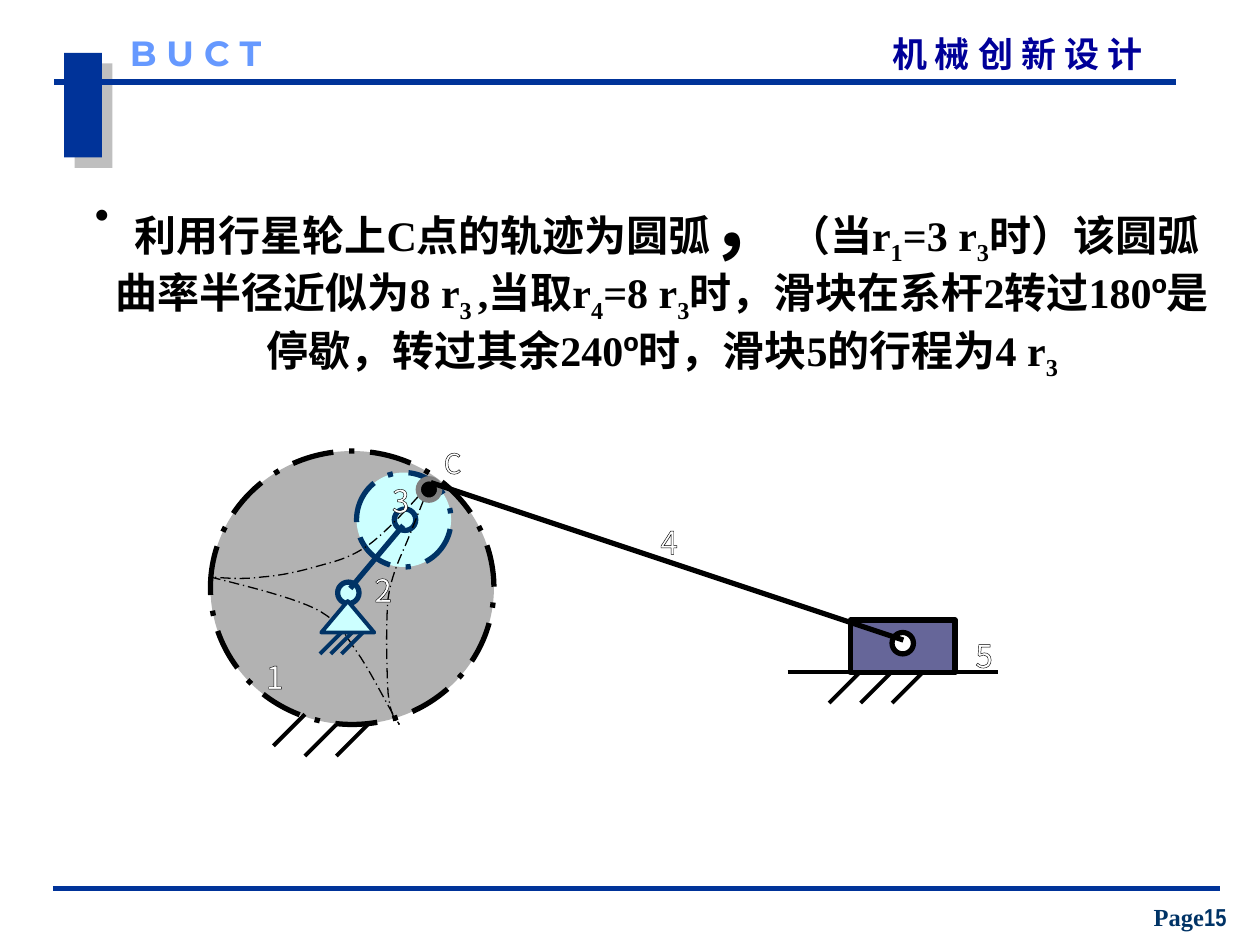
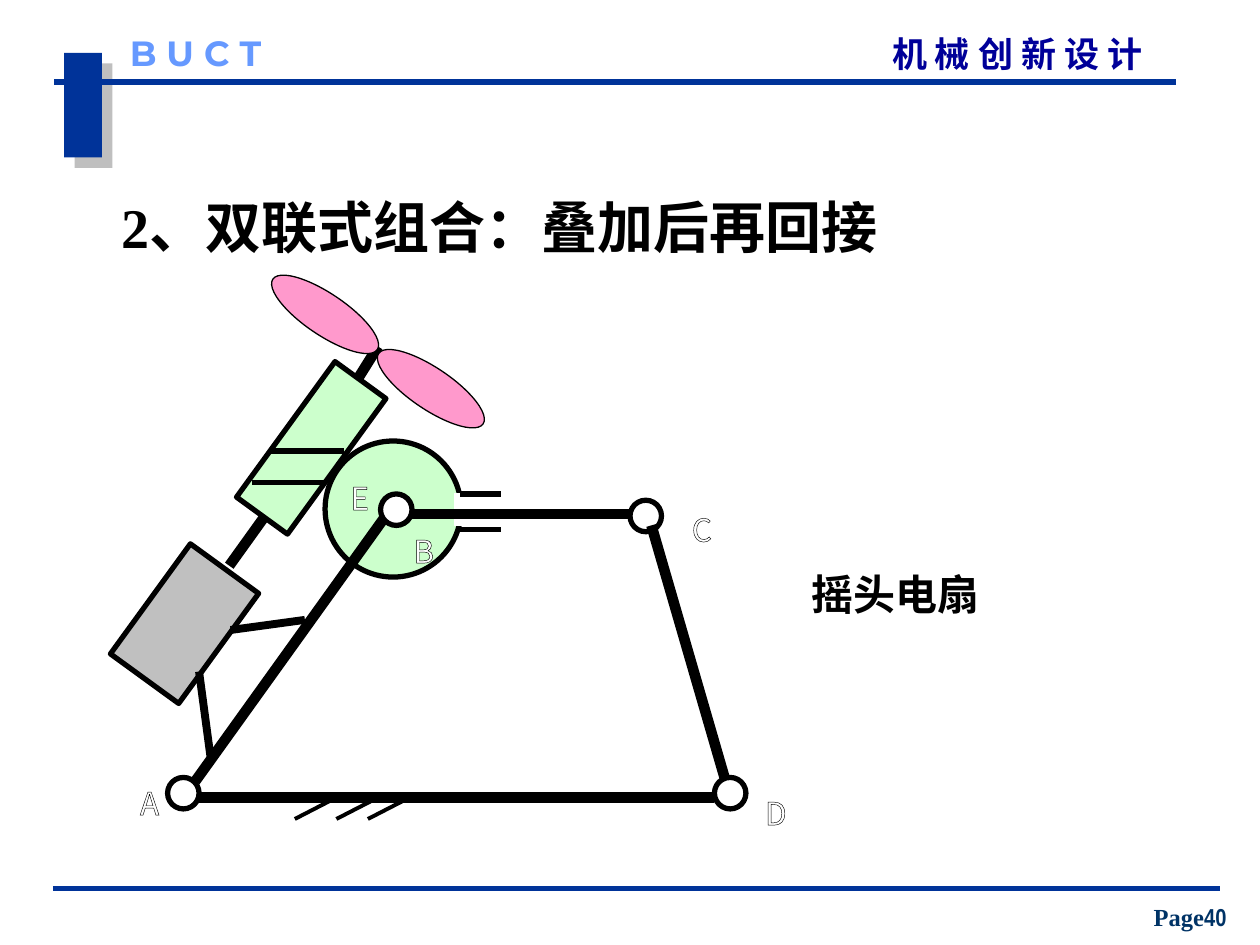
from dataclasses import dataclass

from lxml.etree import SubElement
from pptx import Presentation
from pptx.dml.color import RGBColor
from pptx.enum.dml import MSO_LINE
from pptx.enum.shapes import MSO_CONNECTOR, MSO_SHAPE
from pptx.enum.text import MSO_ANCHOR, MSO_AUTO_SIZE, PP_ALIGN
from pptx.oxml.ns import qn
from pptx.util import Inches, Pt


@dataclass(frozen=True)
class Theme:
    blue: str = "003399"
    course: str = "000099"
    school: str = "6699FF"
    navy: str = "003366"
    black: str = "000000"
    white: str = "FFFFFF"
    shadow: str = "808080"
    ring_gray: str = "B2B2B2"
    motor_gray: str = "C0C0C0"
    cyan: str = "CCFFFF"
    green: str = "CCFFCC"
    pink: str = "FF99CC"
    slider: str = "666699"
    serif: str = "Times New Roman"
    chinese: str = "Noto Sans CJK SC"
    header_size: float = 20
    page_size: float = 14
    body_size: float = 24
    comma_size: float = 44
    title_size: float = 32
    label_size: float = 18
    small_label_size: float = 16


THEME = Theme()
SUBSCRIPT, LARGE, ARIAL = "subscript", "large", "arial"

DWELL_TEXT = [
    (" 利用行星轮上C点的轨迹为圆弧", None), ("，", LARGE), ("（当r", None), ("1", SUBSCRIPT),
    ("=3 r", None), ("3", SUBSCRIPT), ("时）该圆弧曲率半径近似为8 r", None), ("3 ", SUBSCRIPT),
    (",当取r", None), ("4", SUBSCRIPT), ("=8 r", None), ("3", SUBSCRIPT),
    ("时，滑块在系杆2转过180", None), ("º", ARIAL), ("是停歇，转过其余240", None),
    ("º", ARIAL), ("时，滑块5的行程为4 r", None), ("3", SUBSCRIPT),
]

# Each path is a start point followed by cubic segments of three points.
POINT_C_PATHS = [
    [(3.42, 3.83), (3.24, 4.03), (3.07, 4.22), (2.92, 4.33), (2.76, 4.44), (2.64, 4.46),
     (2.5, 4.5), (2.36, 4.54), (2.22, 4.57), (2.08, 4.58), (1.94, 4.6), (1.81, 4.59),
     (1.67, 4.58)],
    [(1.67, 4.58), (1.99, 4.66), (2.31, 4.74), (2.5, 4.83), (2.69, 4.93), (2.72, 5.01),
     (2.83, 5.17), (2.94, 5.32), (3.11, 5.67), (3.17, 5.75)],
    [(3.42, 3.83), (3.36, 3.97), (3.31, 4.1), (3.25, 4.25), (3.19, 4.4), (3.11, 4.54),
     (3.08, 4.75), (3.06, 4.96), (3.07, 5.33), (3.08, 5.5), (3.1, 5.67), (3.13, 5.71),
     (3.17, 5.75)],
]


def rgb(color):
    return RGBColor.from_string(color)


def set_line(line, color, width, dash=None):
    line.color.rgb = rgb(color)
    line.width = Pt(width)
    if dash:
        line.dash_style = dash


def draw_shape(slide, kind, box, fill, line=None, width=3, rotation=0, dash=None):
    shape = slide.shapes.add_shape(kind, *map(Inches, box))
    shape.shadow.inherit = False
    shape.rotation = rotation
    shape.fill.solid()
    shape.fill.fore_color.rgb = rgb(fill)
    if line:
        set_line(shape.line, line, width, dash)
    else:
        shape.line.fill.background()
    return shape


def draw_circle(slide, left, top, diameter, fill, line=THEME.black, dash=None):
    draw_shape(slide, MSO_SHAPE.OVAL, (left, top, diameter, diameter), fill, line, dash=dash)


def draw_line(slide, begin, end, width=3, color=THEME.black, begin_joint=None, end_joint=None):
    """Draw a straight line; a joint is a (shape, side) pair, and the shape may be rotated."""
    connector = slide.shapes.add_connector(
        MSO_CONNECTOR.STRAIGHT, *map(Inches, (*begin, *end)))
    if begin_joint:
        connector.begin_connect(*begin_joint)
        connector.begin_x, connector.begin_y = map(Inches, begin)
    if end_joint:
        connector.end_connect(*end_joint)
        connector.end_x, connector.end_y = map(Inches, end)
    set_line(connector.line, color, width)
    SubElement(connector._element.spPr, qn("a:effectLst"))


def draw_hatch(slide, starts, run, drop, color=THEME.black):
    """Draw parallel ground strokes going left by run and down by drop."""
    for x, y in starts:
        draw_line(slide, (x, y), (x - run, y + drop), 2.25, color)


def cubic_point(controls, t):
    weights = ((1 - t) ** 3, 3 * t * (1 - t) ** 2, 3 * t * t * (1 - t), t ** 3)
    return tuple(Inches(sum(weight * point[axis] for weight, point in zip(weights, controls)))
                 for axis in (0, 1))


def draw_curve(slide, path, steps=10):
    points = [cubic_point(path[first:first + 4], step / steps)
              for first in range(0, len(path) - 1, 3)
              for step in range(1, steps + 1)]
    builder = slide.shapes.build_freeform(*map(Inches, path[0]))
    builder.add_line_segments(points, close=False)
    curve = builder.convert_to_shape()
    curve.shadow.inherit = False
    curve.fill.background()
    set_line(curve.line, THEME.black, 0.75, MSO_LINE.LONG_DASH_DOT)


def set_font(paragraph, name, size, color, bold=True):
    font = paragraph.font
    font.name, font.size, font.bold = name, Pt(size), bold
    font.color.rgb = rgb(color)
    SubElement(font._element, qn("a:ea"), typeface=THEME.chinese)


def set_frame(frame, inset=True, wrap=True, anchor=MSO_ANCHOR.TOP):
    frame.auto_size = MSO_AUTO_SIZE.NONE
    frame.word_wrap = wrap
    frame.vertical_anchor = anchor
    frame.margin_left = frame.margin_right = Inches(0.1 if inset else 0)
    frame.margin_top = frame.margin_bottom = Inches(0.05 if inset else 0)


def add_text(slide, box, text, name, size, color, bold=True, **frame_options):
    frame = slide.shapes.add_textbox(*map(Inches, box)).text_frame
    set_frame(frame, **frame_options)
    paragraph = frame.paragraphs[0]
    paragraph.add_run().text = text
    set_font(paragraph, name, size, color, bold)
    return paragraph


def add_label(slide, text, left, top, size=THEME.label_size):
    """Add an outlined white letter or number that names a part."""
    paragraph = add_text(slide, (left, top, 0.13, 0.25), text, THEME.chinese, size,
                         THEME.white, bold=False, wrap=False)
    properties = paragraph.runs[0].font._element
    outline = SubElement(properties, qn("a:ln"), w=str(Pt(0.75)))
    properties.insert(0, outline)
    fill = SubElement(outline, qn("a:solidFill"))
    SubElement(fill, qn("a:srgbClr"), val=THEME.black)


def add_bullet(paragraph, indent):
    properties = paragraph._p.get_or_add_pPr()
    properties.set("marL", str(Inches(indent)))
    properties.set("indent", str(-Inches(indent)))
    color = SubElement(properties, qn("a:buClr"))
    SubElement(color, qn("a:srgbClr"), val=THEME.black)
    SubElement(properties, qn("a:buChar"), char="•")


def set_title(slide, box, pieces, size, bullet_indent=None):
    title = slide.shapes.title
    title.left, title.top, title.width, title.height = map(Inches, box)
    set_frame(title.text_frame, inset=False, anchor=MSO_ANCHOR.MIDDLE)
    paragraph = title.text_frame.paragraphs[0]
    paragraph.alignment = PP_ALIGN.CENTER
    if bullet_indent:
        add_bullet(paragraph, bullet_indent)
    set_font(paragraph, THEME.serif, size, THEME.black)
    for text, style in pieces:
        run = paragraph.add_run()
        run.text = text
        if style == SUBSCRIPT:
            run.font._element.set("baseline", "-25000")
        elif style == LARGE:
            run.font.size = Pt(THEME.comma_size)
        elif style == ARIAL:
            run.font.name = "Arial"


def draw_corner_block(slide):
    block = draw_shape(slide, MSO_SHAPE.RECTANGLE, (0.51, 0.42, 0.3, 0.83), THEME.blue)
    effects = block._element.spPr.find(qn("a:effectLst"))
    shadow = SubElement(effects, qn("a:outerShdw"), dist=str(Pt(8.5)), dir="2700000",
                        algn="ctr", rotWithShape="0")
    color = SubElement(shadow, qn("a:srgbClr"), val=THEME.shadow)
    SubElement(color, qn("a:alpha"), val="50000")


def add_slide(presentation, page):
    """Add a slide with the shared header, rules and page number."""
    slide = presentation.slides.add_slide(presentation.slide_layouts[5])
    draw_corner_block(slide)
    draw_line(slide, (0.43, 0.65), (9.33, 0.65), color=THEME.blue)
    draw_line(slide, (0.42, 7.05), (9.68, 7.05), color=THEME.blue)
    add_text(slide, (7.08, 0.26, 2.46, 0.33), "机 械 创 新 设 计", THEME.chinese,
             THEME.header_size, THEME.course, inset=False)
    add_text(slide, (1.03, 0.25, 1.42, 0.33), "B U C T", "Montserrat",
             THEME.header_size, THEME.school, inset=False)
    footer = add_text(slide, (8.97, 7.11, 0.95, 0.33), "Page", THEME.serif,
                      THEME.page_size, THEME.navy, anchor=MSO_ANCHOR.BOTTOM)
    footer.alignment = PP_ALIGN.CENTER
    number = footer.add_run()
    number.text = str(page)
    number.font.name = "Arial Narrow"
    return slide


def draw_planetary_gear(slide):
    dash = MSO_LINE.LONG_DASH_DOT
    draw_shape(slide, MSO_SHAPE.OVAL, (1.67, 3.58, 2.25, 2.17), THEME.ring_gray,
               THEME.black, dash=dash)
    draw_circle(slide, 2.83, 3.75, 0.75, THEME.cyan, THEME.navy, dash)
    for left, top in ((2.68, 4.62), (3.13, 4.04)):
        draw_circle(slide, left, top, 0.17, THEME.cyan, THEME.navy)
    draw_line(slide, (3.2, 4.17), (2.78, 4.67), color=THEME.navy)
    for path in POINT_C_PATHS:
        draw_curve(slide, path)
    draw_circle(slide, 3.32, 3.8, 0.17, THEME.black, THEME.shadow)
    draw_shape(slide, MSO_SHAPE.ISOSCELES_TRIANGLE, (2.55, 4.77, 0.42, 0.25),
               THEME.cyan, THEME.navy, 2.25)
    draw_hatch(slide, [(2.71 + 0.085 * i, 5.02) for i in range(3)], 0.17, 0.17, THEME.navy)
    draw_hatch(slide, [(2.42, 5.67), (2.67, 5.75), (2.92, 5.75)], 0.25, 0.25)


def draw_slider(slide):
    draw_shape(slide, MSO_SHAPE.RECTANGLE, (6.75, 4.92, 0.83, 0.42), THEME.slider, THEME.black)
    draw_line(slide, (6.25, 5.33), (7.92, 5.33), 2.25)
    draw_circle(slide, 7.08, 5.02, 0.17, THEME.white)
    draw_line(slide, (3.42, 3.83), (7.17, 5.08))
    draw_hatch(slide, [(6.83 + 0.25 * i, 5.33) for i in range(3)], 0.25, 0.25)


def draw_four_bar_linkage(slide):
    draw_circle(slide, 2.58, 3.5, 1.08, THEME.green)
    draw_shape(slide, MSO_SHAPE.RECTANGLE, (3.61, 3.92, 0.33, 0.25), THEME.white,
               THEME.white, 0.75)
    for y in (3.92, 4.2):
        draw_line(slide, (3.65, y), (3.98, y))
    for left, top in ((3.02, 3.92), (1.33, 6.17), (5.67, 6.17), (5, 3.97)):
        draw_circle(slide, left, top, 0.25, THEME.white)
    for begin, end in (((1.58, 6.33), (5.67, 6.33)), ((3.05, 4.11), (1.55, 6.2)),
                       ((5.17, 4.17), (5.75, 6.17)), ((3.25, 4.08), (5, 4.08))):
        draw_line(slide, begin, end, 6)
    draw_hatch(slide, [(2.67, 6.33), (3, 6.33), (3.25, 6.33)], 0.33, 0.17)


def draw_fan(slide):
    worm = draw_shape(slide, MSO_SHAPE.RECTANGLE, (2.22, 2.89, 0.5, 1.33), THEME.green,
                      THEME.black, rotation=36)
    motor = draw_shape(slide, MSO_SHAPE.RECTANGLE, (1.13, 4.41, 0.67, 1.08),
                       THEME.motor_gray, THEME.black, rotation=36)
    draw_line(slide, (1.58, 5.33), (1.67, 6), 4.5)
    draw_line(slide, (1.83, 5), (2.42, 4.92), 4.5)
    draw_line(slide, (2.1, 4.1), (1.82, 4.49), 6, begin_joint=(worm, 2), end_joint=(motor, 0))
    for x, y in ((2, 3.83), (2.15, 3.58)):
        draw_line(slide, (x, y), (x + 0.58, y))
    draw_line(slide, (3, 2.75), (2.85, 2.99), 6, end_joint=(worm, 0))
    for left, top in ((2.08, 2.33), (2.92, 2.92)):
        draw_shape(slide, MSO_SHAPE.OVAL, (left, top, 1, 0.33), THEME.pink,
                   THEME.black, 0.75, rotation=34)


def build_dwell_slide(presentation):
    slide = add_slide(presentation, 15)
    set_title(slide, (0.67, 1.39, 8.93, 1.63), DWELL_TEXT, THEME.body_size, 0.24)
    draw_planetary_gear(slide)
    draw_slider(slide)
    for text, left, top in (("1", 2.08, 5.17), ("2", 2.94, 4.48), ("3", 3.08, 3.77),
                            ("4", 5.21, 4.1), ("5", 7.71, 5)):
        add_label(slide, text, left, top)
    add_label(slide, "C", 3.49, 3.49, THEME.small_label_size)


def build_fan_slide(presentation):
    slide = add_slide(presentation, 40)
    set_title(slide, (0.67, 1.54, 6.6, 0.51), [("2、双联式组合：叠加后再回接", None)],
              THEME.title_size)
    draw_four_bar_linkage(slide)
    draw_fan(slide)
    for text, left, top in (("A", 1.08, 6.17), ("B", 3.25, 4.17), ("C", 5.46, 4),
                            ("D", 6.04, 6.25), ("E", 2.75, 3.75)):
        add_label(slide, text, left, top)
    add_text(slide, (6.34, 4.46, 2.44, 0.5), "摇头电扇", "Arial", THEME.body_size, THEME.black)


def main():
    presentation = Presentation()
    presentation.slide_width, presentation.slide_height = Inches(10), Inches(7.5)
    build_dwell_slide(presentation)
    build_fan_slide(presentation)
    presentation.save("out.pptx")


if __name__ == "__main__":
    main()
